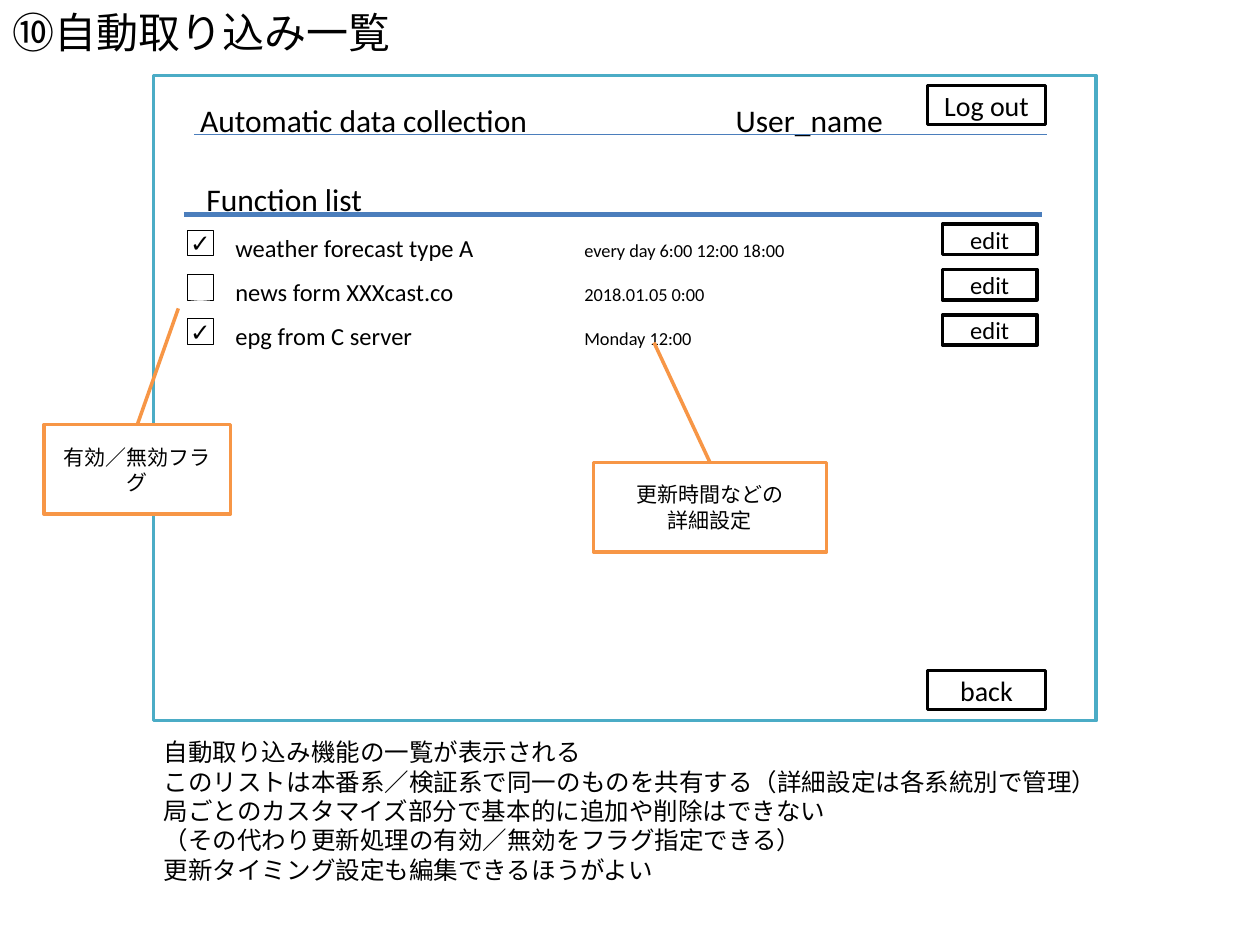
"""Build the wireframe slide for the automatic data collection list."""
from dataclasses import dataclass

from lxml.etree import SubElement
from pptx import Presentation
from pptx.dml.color import RGBColor
from pptx.enum.shapes import MSO_CONNECTOR, MSO_SHAPE
from pptx.enum.text import MSO_ANCHOR, MSO_AUTO_SIZE, PP_ALIGN
from pptx.oxml.ns import qn
from pptx.util import Pt

SCALE = 9144
FONT = "Calibri"
COLORS = {
    "text": "000000",
    "paper": "FFFFFF",
    "frame": "4BACC6",
    "rule": "4B7EBC",
    "callout": "F79646",
}


@dataclass
class Box:
    x: int
    y: int
    w: int
    h: int
    text: str = ""
    size: float = 14
    line: str = "text"
    weight: float = 2
    inset: int = 10
    kind: MSO_SHAPE = MSO_SHAPE.RECTANGLE
    adjust: tuple = ()


@dataclass
class Label:
    x: int
    y: int
    w: int
    h: int
    text: str


@dataclass
class Rule:
    x1: int
    x2: int
    y: int
    weight: float


@dataclass
class Function:
    name: str
    schedule: str
    enabled: bool


FUNCTIONS = [
    Function("weather forecast type A", "every day 6:00 12:00 18:00", True),
    Function("news form XXXcast.co", "2018.01.05 0:00", False),
    Function("epg from C server", "Monday 12:00", True),
]
NOTES = [
    "自動取り込み機能の一覧が表示される",
    "このリストは本番系／検証系で同一のものを共有する（詳細設定は各系統別で管理）",
    "局ごとのカスタマイズ部分で基本的に追加や削除はできない",
    "（その代わり更新処理の有効／無効をフラグ指定できる）",
    "更新タイミング設定も編集できるほうがよい",
]
FRAME = Box(122, 60, 748, 512, line="frame")
BUTTONS = [
    Box(736, 68, 94, 31, "Log out", 16),
    Box(736, 532, 94, 31, "back", 16),
]
CALLOUTS = [
    Box(35, 337, 148, 71, "有効／無効フラグ", 12, "callout",
        kind=MSO_SHAPE.LINE_CALLOUT_1, adjust=(0, 0.5, -1.3, 0.72)),
    Box(471, 367, 185, 71, "更新時間などの\n詳細設定", 12, "callout",
        kind=MSO_SHAPE.LINE_CALLOUT_1, adjust=(0, 0.5, -1.34, 0.26)),
]
LABELS = [
    Label(149, 60, 283, 56, "Automatic data collection"),
    Label(574, 60, 138, 51, "User_name"),
]
RULES = [Rule(154, 831, 107, 0.75), Rule(146, 827, 170, 3)]
TAB_STOPS = (23, 300)


def px(n: int) -> int:
    return n * SCALE


def color(name: str) -> RGBColor:
    return RGBColor.from_string(COLORS[name])


def format_run(r, size: float) -> None:
    r.font.name = FONT
    r.font.size = Pt(size)
    r.font.color.rgb = color("text")


def format_text(tf, size: float, align=PP_ALIGN.LEFT) -> None:
    for p in tf.paragraphs:
        p.alignment = align
        for r in p.runs:
            format_run(r, size)


def place(sp, x: int, y: int, w: int, h: int) -> None:
    sp.left, sp.top, sp.width, sp.height = px(x), px(y), px(w), px(h)


def draw_box(s, b: Box) -> None:
    sp = s.shapes.add_shape(b.kind, px(b.x), px(b.y), px(b.w), px(b.h))
    sp.shadow.inherit = False
    sp.fill.solid()
    sp.fill.fore_color.rgb = color("paper")
    sp.line.color.rgb = color(b.line)
    sp.line.width = Pt(b.weight)
    for i, value in enumerate(b.adjust):
        sp.adjustments[i] = value
    if b.text:
        tf = sp.text_frame
        tf.text = b.text
        tf.margin_left = tf.margin_right = px(b.inset)
        tf.vertical_anchor = MSO_ANCHOR.MIDDLE
        format_text(tf, b.size, PP_ALIGN.CENTER)


def draw_label(s, label: Label) -> None:
    sp = s.shapes.add_textbox(px(label.x), px(label.y), px(label.w), px(label.h))
    tf = sp.text_frame
    tf.word_wrap = False
    tf.text = label.text
    tf.paragraphs[0].line_spacing = 1.5
    format_text(tf, 18)


def draw_rule(s, rule: Rule) -> None:
    line = s.shapes.add_connector(
        MSO_CONNECTOR.STRAIGHT, px(rule.x1), px(rule.y), px(rule.x2), px(rule.y))
    line.line.color.rgb = color("rule")
    line.line.width = Pt(rule.weight)
    SubElement(line._element.spPr, qn("a:effectLst"))


def draw_function_list(s) -> None:
    tf = s.shapes.add_textbox(px(154), px(123), px(587), px(162)).text_frame
    tf.word_wrap = True
    tf.text = "Function list"
    format_text(tf, 18)
    tf.paragraphs[0].line_spacing = 1.5
    for f in FUNCTIONS:
        p = tf.add_paragraph()
        p.line_spacing = 1.5
        tabs = SubElement(p._p.get_or_add_pPr(), qn("a:tabLst"))
        for stop in TAB_STOPS:
            SubElement(tabs, qn("a:tab"), pos=str(px(stop)), algn="l")
        for text, size in ((f"\t{f.name}\t", 14), (f.schedule, 10.5)):
            r = p.add_run()
            r.text = text
            format_run(r, size)


def fill_title(s) -> None:
    sp = s.shapes.title
    place(sp, 0, 0, 1000, 60)
    tf = sp.text_frame
    tf.text = "⑩自動取り込み一覧"
    tf.auto_size = MSO_AUTO_SIZE.NONE
    tf.vertical_anchor = MSO_ANCHOR.TOP
    format_text(tf, 24)


def fill_notes(s) -> None:
    sp = s.placeholders[1]
    place(sp, 120, 580, 766, 128)
    tf = sp.text_frame
    tf.text = "\n".join(NOTES)
    tf.auto_size = MSO_AUTO_SIZE.NONE
    format_text(tf, 14)
    for p in tf.paragraphs:
        p.space_before = Pt(0)
        pPr = p._p.get_or_add_pPr()
        pPr.set("marL", "0")
        pPr.set("indent", "0")
        SubElement(pPr, qn("a:buNone"))


def main() -> None:
    prs = Presentation()
    prs.slide_width, prs.slide_height = px(1000), px(750)
    s = prs.slides.add_slide(prs.slide_layouts[1])
    fill_title(s)
    fill_notes(s)
    draw_box(s, FRAME)
    for label in LABELS:
        draw_label(s, label)
    draw_function_list(s)
    for rule in RULES:
        draw_rule(s, rule)
    for i, f in enumerate(FUNCTIONS):
        draw_box(s, Box(748, 178 + 36 * i, 75, 24, "edit"))
        draw_box(s, Box(149, 183 + 35 * i, 20, 20, "✓" if f.enabled else "",
                        weight=0.25, inset=0))
    for b in BUTTONS + CALLOUTS:
        draw_box(s, b)
    prs.save("out.pptx")


if __name__ == "__main__":
    main()
